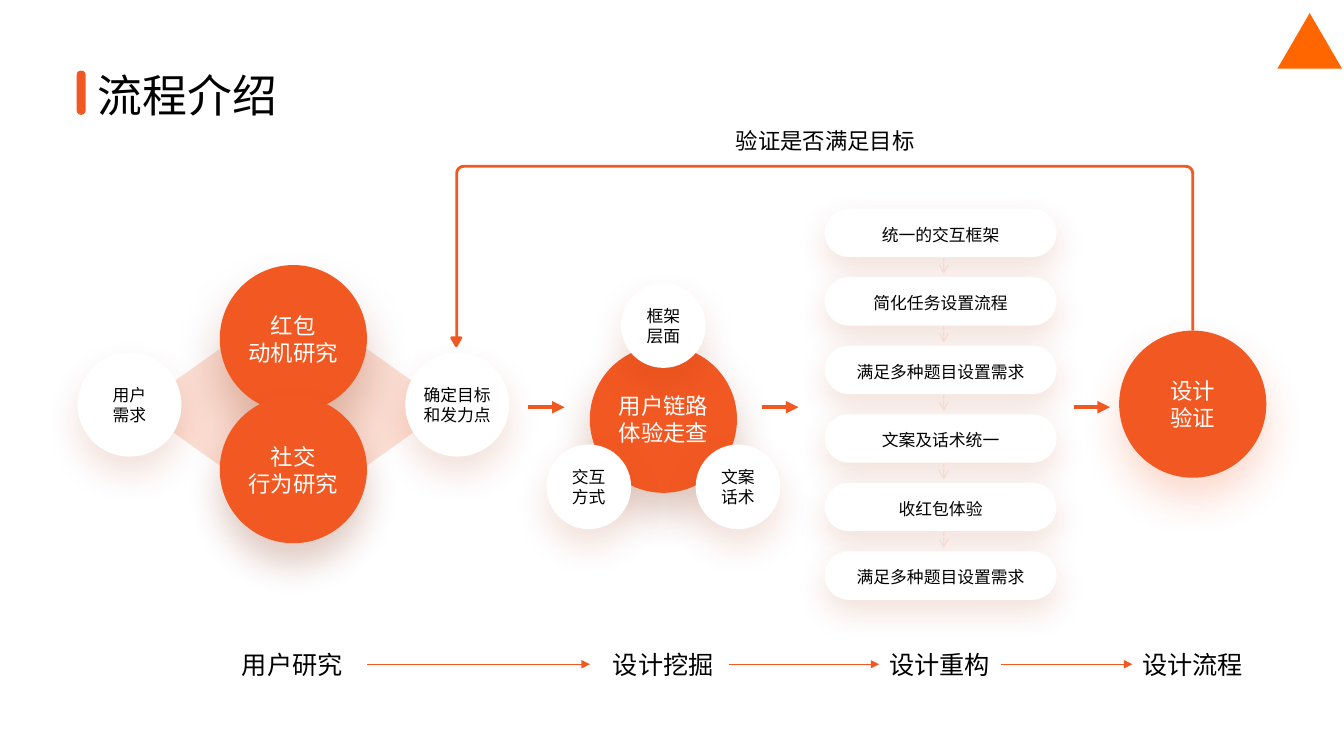
from math import cos, radians, sin

from lxml import etree
from pptx import Presentation
from pptx.dml.color import RGBColor
from pptx.enum.dml import MSO_LINE
from pptx.enum.lang import MSO_LANGUAGE_ID
from pptx.enum.shapes import MSO_CONNECTOR, MSO_SHAPE
from pptx.enum.text import MSO_ANCHOR, PP_ALIGN
from pptx.oxml.ns import qn
from pptx.util import Pt

STRAIGHT = MSO_CONNECTOR.STRAIGHT
OVAL, PILL, TRIANGLE = MSO_SHAPE.OVAL, MSO_SHAPE.ROUNDED_RECTANGLE, MSO_SHAPE.ISOSCELES_TRIANGLE
LEFT, CENTER, MIDDLE = PP_ALIGN.LEFT, PP_ALIGN.CENTER, MSO_ANCHOR.MIDDLE
CHINESE = MSO_LANGUAGE_ID.SIMPLIFIED_CHINESE
LEFT_SIDE, RIGHT_SIDE = 1, 3
PX = 9144  # 100 px to the inch

COLORS = {
    "orange": "F25822", "peach": "FCDED3", "faint": "F79A7A", "white": "FFFFFF", "black": "000000",
    "rust": "AE340A", "brown": "822808", "glow": "F3602D", "badge": "FF6600",
}

# Content: shadows are (colour, opacity %, blur pt, distance pt)
TITLE = "流程介绍"
RETURN_LABEL = "验证是否满足目标"
SOFT = ("rust", 15, 25, 12)
PILL_SHADOW = ("rust", 15, 22.5, 9)

# Circles: (lines, left, top, diameter, fill, text colour, size, shadow)
SMALL, MEDIUM, LARGE = 84, 103, 146
OUTER_CIRCLES = [
    (["用户", "需求"], 77, 350, MEDIUM, "white", "black", 12, SOFT),
    (["确定目标", "和发力点"], 402, 350, MEDIUM, "white", "black", 12, SOFT),
    (["用户链路", "体验走查"], 585, 343, LARGE, "orange", "white", 16, ("brown", 25, 30, 15)),
    (["框架", "层面"], 616, 281, SMALL, "white", "black", 12, SOFT),
    (["交互", "方式"], 542, 441, SMALL, "white", "black", 12, SOFT),
    (["文案", "话术"], 690, 441, SMALL, "white", "black", 12, SOFT),
]
RESEARCH_CIRCLES = [
    (["设计", "验证"], 1110, 328, LARGE, "orange", "white", 16, ("glow", 23, 30, 15)),
    (["红包", "动机研究"], 218, 263, LARGE, "orange", "white", 16, ("brown", 25, 35, 20)),
    (["社交", "行为研究"], 218, 393, LARGE, "orange", "white", 16, ("brown", 23, 25, 15)),
]
REBUILD_STEPS = ["统一的交互框架", "简化任务设置流程", "满足多种题目设置需求",
                 "文案及话术统一", "收红包体验", "满足多种题目设置需求"]
STAGES = [("用户研究", 230), ("设计挖掘", 598), ("设计重构", 872), ("设计流程", 1123)]
# (from x, to x, stage joined at start, stage joined at end)
STAGE_ARROWS = [(364, 585, None, None), (723, 872, None, 2), (993, 1123, 2, 3)]
STEP_ARROWS = [524, 756, 1065]


def color(name):
    return RGBColor.from_string(COLORS[name])


def write(shape, lines, size, ink, align=CENTER, wrap=True, **frame_values):
    frame = shape.text_frame
    frame.word_wrap = wrap
    for name, value in frame_values.items():
        setattr(frame, name, value)
    for index, line in enumerate(lines):
        para = frame.paragraphs[0] if index == 0 else frame.add_paragraph()
        para.alignment = align
        span = para.add_run()
        span.text = line
        for name, value in {"size": Pt(size), "name": "Calibri", "language_id": CHINESE}.items():
            setattr(span.font, name, value)
        span.font.color.rgb = color(ink)


def add_text(left, top, width, height, line, size, **options):
    box = page.shapes.add_textbox(left * PX, top * PX, width * PX, height * PX)
    write(box, [line], size, "black", **options)
    return box


def add_block(kind, left, top, width, height, fill, shadow=None):
    block = page.shapes.add_shape(kind, left * PX, top * PX, width * PX, height * PX)
    block.shadow.inherit = False
    block.fill.solid()
    block.fill.fore_color.rgb = color(fill)
    block.line.fill.background()
    if shadow:
        tint, opacity, blur, distance = shadow
        effects = block._element.spPr.find(qn("a:effectLst"))
        outer = etree.SubElement(effects, qn("a:outerShdw"), blurRad=str(Pt(blur)),
                                 dist=str(Pt(distance)), dir="5400000", algn="t", rotWithShape="0")
        add_opacity(etree.SubElement(outer, qn("a:srgbClr"), val=COLORS[tint]), opacity)
    return block


def add_opacity(paint, percent):
    etree.SubElement(paint, qn("a:alpha"), val=str(percent * 1000))


def add_arrow(x1, y1, x2, y2, ink, width, head="triangle"):
    arrow = page.shapes.add_connector(STRAIGHT, x1 * PX, y1 * PX, x2 * PX, y2 * PX)
    arrow.line.color.rgb = color(ink)
    arrow.line.width = Pt(width)
    etree.SubElement(arrow.line._get_or_add_ln(), qn("a:tailEnd"), type=head)
    etree.SubElement(arrow._element.spPr, qn("a:effectLst"))
    return arrow


def add_circles(circles):
    for lines, left, top, diameter, fill, ink, size, shadow in circles:
        circle = add_block(OVAL, left, top, diameter, diameter, fill, shadow)
        write(circle, lines, size, ink, wrap=False, vertical_anchor=MIDDLE,
              margin_left=0, margin_right=0, margin_top=0, margin_bottom=0)


def corner(center_x, center_y, radius, start):
    """Points of a clockwise quarter turn, in px."""
    angles = [radians(start + step) for step in range(0, 91, 15)]
    return [(center_x + radius * cos(a), center_y + radius * sin(a)) for a in angles]


deck = Presentation()
deck.slide_width, deck.slide_height = 1333 * PX, 750 * PX
page = deck.slides.add_slide(deck.slide_layouts[6])

# Corner badge and title
add_block(TRIANGLE, 1267, 13, 64, 55, "badge")
add_block(PILL, 76, 70, 9, 44, "orange").adjustments[0] = 0.5
add_text(87, 62, 200, 64, TITLE, 32, align=LEFT, wrap=False)

# Fans behind the research circles
for left, angle in ((104, 270), (258, 90)):
    add_block(TRIANGLE, left, 327, 220, 154, "peach").rotation = angle

# Arrows between the steps
for left in STEP_ARROWS:
    add_arrow(left, 404, left + 36, 404, "orange", 3)

add_circles(OUTER_CIRCLES)

# Column of rebuild steps
PILL_TOP, PILL_PITCH, PILL_HEIGHT = 207, 68, 48
for index, step in enumerate(REBUILD_STEPS):
    pill = add_block(PILL, 818, PILL_TOP + index * PILL_PITCH, 230, PILL_HEIGHT, "white", PILL_SHADOW)
    pill.adjustments[0] = 0.5
    write(pill, [step], 12, "black", vertical_anchor=MIDDLE, margin_top=3 * PX, margin_bottom=0)
for index in range(len(REBUILD_STEPS) - 1):
    top = PILL_TOP + index * PILL_PITCH + PILL_HEIGHT + 1
    link = add_arrow(936, top, 936, top + 16, "faint", 0.9, "arrow")
    link.line.dash_style = MSO_LINE.SQUARE_DOT
    add_opacity(link._element.spPr.find(".//" + qn("a:srgbClr")), 20)

add_circles(RESEARCH_CIRCLES)

# Stage names and their arrows
stage_boxes = [add_text(left, 639, 121, 40, name, 18, align=LEFT) for name, left in STAGES]
for x1, x2, start, end in STAGE_ARROWS:
    arrow = add_arrow(x1, 659, x2, 659, "orange", 0.75)
    if start is not None:
        arrow.begin_connect(stage_boxes[start], RIGHT_SIDE)
    if end is not None:
        arrow.end_connect(stage_boxes[end], LEFT_SIDE)

# Return path from checking back to the goal
X1, X2, TOP, RADIUS = 453, 1183, 165, 7
points = [(X1, 340), *corner(X1 + RADIUS, TOP + RADIUS, RADIUS, 180),
          *corner(X2 - RADIUS, TOP + RADIUS, RADIUS, 270), (X2, 328)]
points = [(round(x * PX), round(y * PX)) for x, y in points]
builder = page.shapes.build_freeform(*points[0], scale=1.0)
builder.add_line_segments(points[1:], close=False)
route = builder.convert_to_shape()
route.shadow.inherit = False
route.fill.background()
tip = add_block(TRIANGLE, 448, 335, 9, 8, "orange")
tip.rotation = 180
for part in (route, tip):
    part.line.color.rgb = color("orange")
    part.line.width = Pt(2)
add_text(683, 121, 271, 37, RETURN_LABEL, 16)

deck.save("out.pptx")
